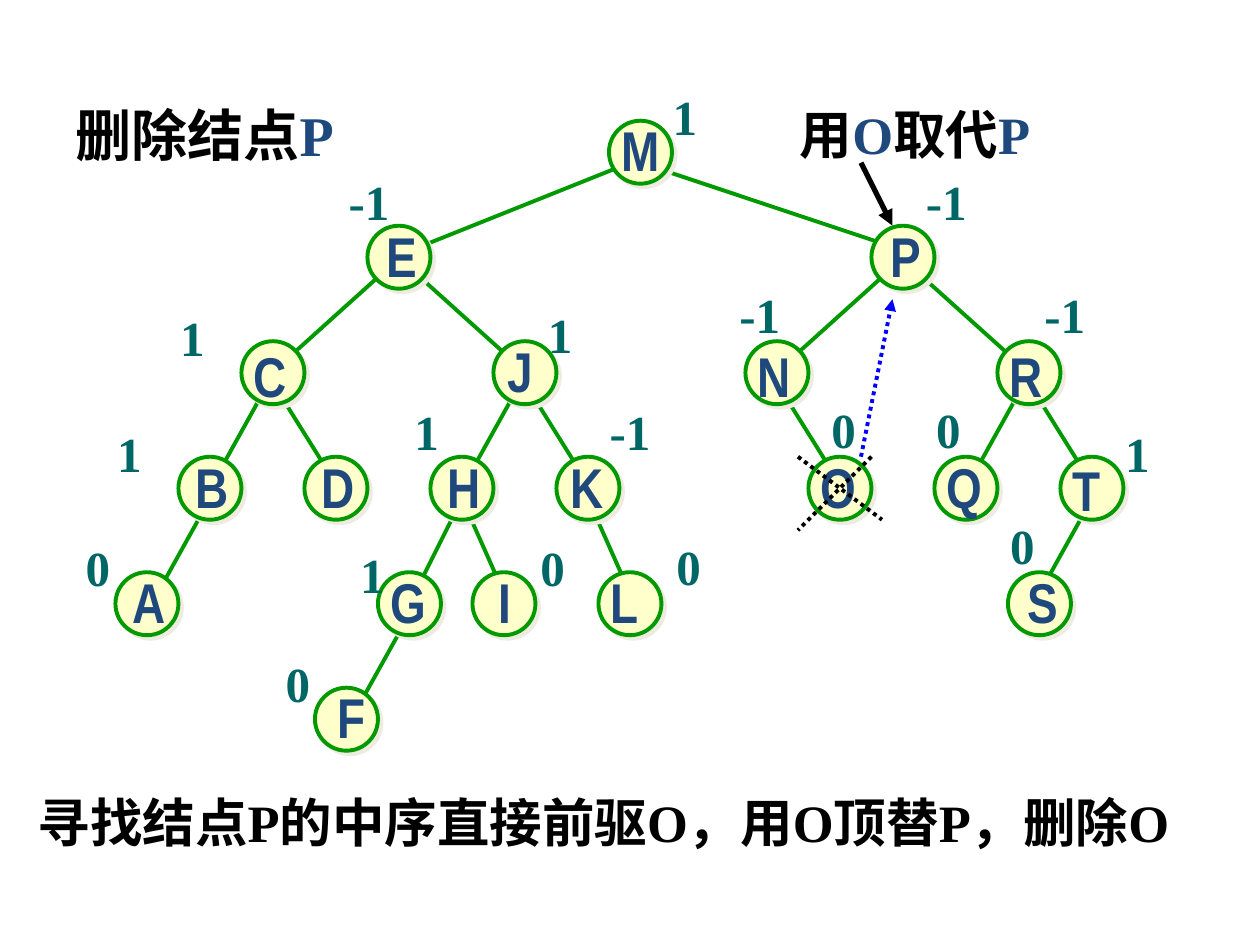
from typing import NamedTuple, Optional

import lxml.etree
import pptx
import pptx.dml.color
import pptx.enum.dml
import pptx.enum.shapes
import pptx.enum.text
import pptx.oxml
import pptx.oxml.ns
import pptx.util

Pt = pptx.util.Pt
COLORS = {
    "black": "000000",
    "letter": "1F497D",
    "balance": "006666",
    "edge": "009900",
    "node": "FFFFCC",
    "shadow": "EEECE1",
    "move": "0000FF",
}
SERIF = "Times New Roman"
NARROW = "Arial Narrow"
DIAMETER = 36
ROW_TOPS = (69, 129, 195, 261, 327, 393)


class Balance(NamedTuple):
    value: str
    left: float
    top: float


class Node(NamedTuple):
    letter: str
    left: float
    row: int
    shift: float
    rise: float
    width: float
    balance: Optional[Balance]


class Line(NamedTuple):
    x1: float
    y1: float
    x2: float
    y2: float
    color: str = "edge"
    weight: float = 2.25
    dotted: bool = False
    arrow: bool = False


NODES = (
    Node("A", 66, 4, 2.4, 6, 33.8, Balance("0", 41.8, 303.8)),
    Node("B", 102, 3, 2.4, 6, 33.8, Balance("1", 59.8, 238.3)),
    Node("C", 138, 2, 0, 3.5, 33.8, Balance("1", 95.8, 172.1)),
    Node("D", 174, 3, 2.4, 6, 33.8, None),
    Node("E", 210, 1, 3.8, 6, 31.7, Balance("-1", 192.2, 94.3)),
    Node("F", 180, 5, 5.8, 6.4, 30.2, Balance("0", 156.2, 370)),
    Node("G", 216, 4, 0, 6, 34.6, Balance("1", 198.7, 307.4)),
    Node("H", 246, 3, 2.4, 6, 33.8, Balance("1", 229.7, 226.1)),
    Node("I", 270, 4, 7.9, 6, 21.6, Balance("0", 301.7, 303.8)),
    Node("J", 282, 2, 1, 6.4, 28.8, Balance("1", 306, 170.6)),
    Node("K", 318, 3, 1, 6, 33.8, Balance("-1", 341.3, 226.1)),
    Node("L", 342, 4, 0, 6, 30.2, Balance("0", 379.4, 303.1)),
    Node("M", 348, 0, 0, 6.4, 36.7, Balance("1", 377.3, 46.1)),
    Node("N", 426, 2, 0, 3.5, 33.8, Balance("-1", 415.4, 159.1)),
    Node("O", 462, 3, 0, 6, 34.6, Balance("0", 468, 224.6)),
    Node("P", 498, 1, 3.8, 6, 31.7, Balance("-1", 522, 94.3)),
    Node("Q", 534, 3, 0, 6, 34.6, Balance("0", 527.8, 224.6)),
    Node("R", 570, 2, 0, 3.5, 33.8, Balance("-1", 589.7, 159.1)),
    Node("S", 576, 4, 4.3, 6, 31.7, Balance("0", 570.2, 290.9)),
    Node("T", 606, 3, 0, 4, 30.2, Balance("1", 635.8, 238.3)),
)

EDGES = (
    Line(90, 339, 120, 285), Line(336, 285, 360, 339),
    Line(264, 285, 288, 339), Line(234, 345, 264, 285),
    Line(444, 219, 474, 267), Line(594, 339, 624, 285),
    Line(588, 219, 618, 267), Line(552, 279, 582, 225),
    Line(300, 219, 330, 267), Line(264, 279, 294, 225),
    Line(156, 219, 186, 267), Line(294, 207, 234, 153),
    Line(588, 213, 528, 159), Line(450, 207, 510, 153),
    Line(366, 93, 510, 141), Line(204, 405, 234, 351),
    Line(162, 207, 222, 153), Line(120, 279, 150, 225),
    Line(240, 141, 360, 93),
)

MARKS = (
    Line(492, 93, 510, 129, "black", 3, arrow=True),
    Line(492, 261, 510, 171, "move", dotted=True, arrow=True),
    Line(498, 261, 456, 303, "black", dotted=True),
    Line(456, 261, 504, 297, "black", dotted=True),
)


def rgb(name: str) -> pptx.dml.color.RGBColor:
    return pptx.dml.color.RGBColor.from_string(COLORS[name])


def add_text(page, spans, left: float, top: float, width: float, height: float,
             *, size: float, font: str = SERIF, wrap: bool = False) -> None:
    box = page.shapes.add_textbox(Pt(left), Pt(top), Pt(width), Pt(height))
    frame = box.text_frame
    frame.word_wrap = wrap
    frame.auto_size = pptx.enum.text.MSO_AUTO_SIZE.SHAPE_TO_FIT_TEXT
    para = frame.paragraphs[0]
    for text, color in spans:
        span = para.add_run()
        span.text = text
        span.font.name = font
        span.font.size = Pt(size)
        span.font.bold = True
        span.font.color.rgb = rgb(color)


def add_line(page, line: Line) -> None:
    connector = page.shapes.add_connector(
        pptx.enum.shapes.MSO_CONNECTOR.STRAIGHT,
        Pt(line.x1), Pt(line.y1), Pt(line.x2), Pt(line.y2))
    connector.line.color.rgb = rgb(line.color)
    connector.line.width = Pt(line.weight)
    if line.dotted:
        connector.line.dash_style = pptx.enum.dml.MSO_LINE.ROUND_DOT
    properties = connector._element.spPr
    if line.arrow:
        outline = properties.find(pptx.oxml.ns.qn("a:ln"))
        lxml.etree.SubElement(outline, pptx.oxml.ns.qn("a:tailEnd"), type="triangle")
    lxml.etree.SubElement(properties, pptx.oxml.ns.qn("a:effectLst"))


def add_circle(page, node: Node) -> None:
    circle = page.shapes.add_shape(
        pptx.enum.shapes.MSO_SHAPE.OVAL,
        Pt(node.left), Pt(ROW_TOPS[node.row]), Pt(DIAMETER), Pt(DIAMETER))
    circle.fill.solid()
    circle.fill.fore_color.rgb = rgb("node")
    circle.line.color.rgb = rgb("edge")
    circle.line.width = Pt(2.25)
    circle.shadow.inherit = False
    effects = circle._element.spPr.find(pptx.oxml.ns.qn("a:effectLst"))
    shadow = lxml.etree.SubElement(
        effects, pptx.oxml.ns.qn("a:outerShdw"),
        dist=str(Pt(2.8)), dir="2700000", algn="ctr", rotWithShape="0")
    lxml.etree.SubElement(shadow, pptx.oxml.ns.qn("a:srgbClr"), val=COLORS["shadow"])


def main() -> None:
    deck = pptx.Presentation()
    deck.slide_width, deck.slide_height = Pt(720), Pt(540)
    page = deck.slides.add_slide(deck.slide_layouts[6])

    add_text(page, [("删除结点", "black"), ("P", "letter")],
             36, 54, 162.7, 45.4, size=32, wrap=True)
    add_text(page, [("寻找结点P的中序直接前驱O，用O顶替P，删除O", "black")],
             14.4, 447.8, 677.5, 43.9, size=30, wrap=True)
    for edge in EDGES:
        add_line(page, edge)
    for node in NODES:
        add_circle(page, node)
    for node in NODES:
        add_text(page, [(node.letter, "letter")], node.left + node.shift,
                 ROW_TOPS[node.row] - node.rise, node.width, 45.4,
                 size=32, font=NARROW)
    for balance in (node.balance for node in NODES if node.balance):
        add_text(page, [(balance.value, "balance")], balance.left, balance.top,
                 28.8 if len(balance.value) == 1 else 38.2, 41, size=28)
    for mark in MARKS:
        add_line(page, mark)
    add_text(page, [("用", "black"), ("O", "letter"), ("取代", "black"), ("P", "letter")],
             450, 54.7, 148.3, 43.9, size=30, wrap=True)

    deck.save("out.pptx")


if __name__ == "__main__":
    main()
